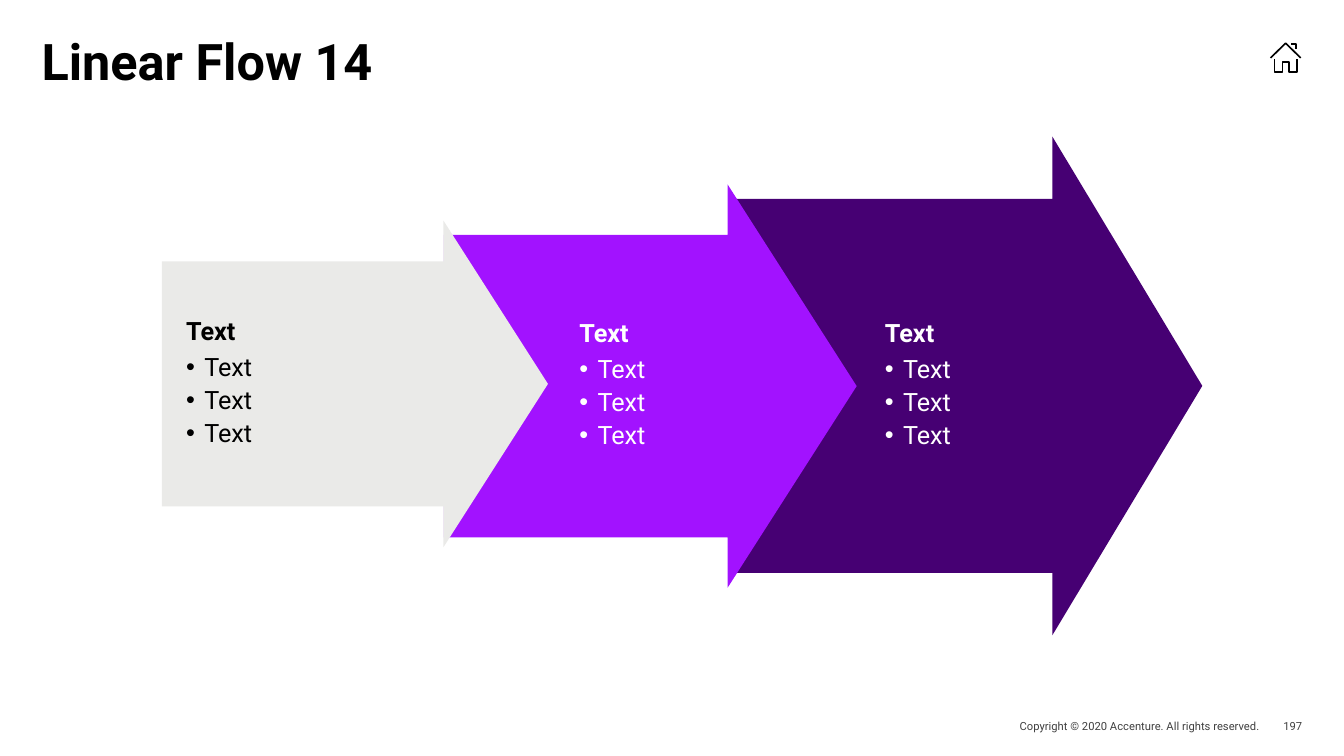
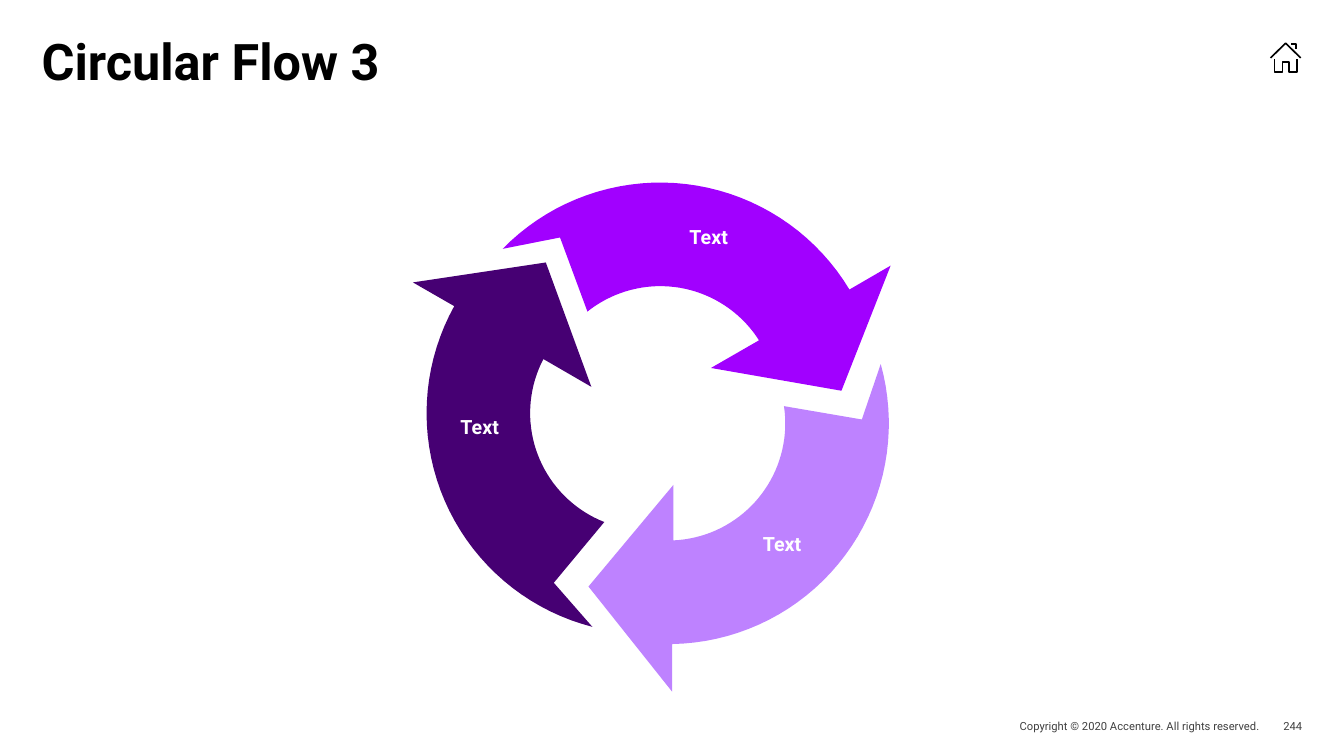
"""Build two flow diagrams: a row of growing arrows and a ring of three arrows."""
import math

import pptx
import pptx.dml.color
import pptx.enum.shapes
import pptx.enum.text
import pptx.oxml
import pptx.oxml.ns
import pptx.util

Cm = pptx.util.Cm
Pt = pptx.util.Pt
ALIGN = pptx.enum.text.PP_ALIGN
ANCHOR = pptx.enum.text.MSO_ANCHOR

THEME = {
    "font": "Roboto",
    "ink": "000000", "white": "FFFFFF", "muted": "404040",
    "grey": "EAEAE8", "bright": "A212FF", "vivid": "A100FF",
    "deep": "460073", "soft": "BE82FF",
    "title": 36, "body": 18, "label": 14, "foot": 8,
}
SIZE = (33.87, 19.05)
LEGAL = "Copyright © 2020 Accenture. All rights reserved."
HOME = [
    [(32.02, 1.46), (32.4, 1.09), (32.78, 1.46)],
    [(32.54, 1.11), (32.66, 1.11), (32.66, 1.23)],
    [(32.12, 1.49), (32.12, 1.82), (32.32, 1.82), (32.32, 1.57),
     (32.49, 1.57), (32.49, 1.82), (32.69, 1.82), (32.69, 1.49)],
]

LINEAR = {"title": "Linear Flow 14", "page": "197"}
HEAD = "Text"
ITEMS = ["Text", "Text", "Text"]
STEPS = [
    {"box": (18.49, 3.44, 11.81, 12.57), "fill": "deep", "ink": "white", "left": 3.81},
    {"box": (11.19, 4.65, 10.4, 10.16), "fill": "bright", "ink": "white", "left": 3.41},
    {"box": (4.08, 5.56, 9.73, 8.23), "fill": "grey", "ink": "ink", "left": 0.61},
]

CIRCLE = {"title": "Circular Flow 3", "page": "244"}
OUTER, INNER = 5.56, 2.95
NOTCH = (4.88, -0.1)
POINT = [(0.13, 1.55), (-2.01, 4.11), (0.1, 6.76)]
RING = [
    {"mid": (16.84, 10.67), "turn": 0, "fill": "soft", "text": "Text", "at": (18.82, 13.23)},
    {"mid": (16.31, 10.41), "turn": 120, "fill": "deep", "text": "Text", "at": (11.2, 10.29)},
    {"mid": (16.64, 10.16), "turn": 240, "fill": "vivid", "text": "Text", "at": (16.97, 5.5)},
]


def shade(name):
    return pptx.dml.color.RGBColor.from_string(THEME[name])


def apply(item, values):
    for key, value in values.items():
        setattr(item, key, value)


def write(para, text, size, ink, bold=False, **form):
    apply(para, form)
    run = para.add_run()
    run.text = text
    apply(run.font, {"name": THEME["font"], "size": Pt(THEME[size]), "bold": bold})
    run.font.color.rgb = shade(ink)


def setup(frame, left=0, pad=0, anchor=ANCHOR.MIDDLE):
    apply(frame, {
        "word_wrap": True, "vertical_anchor": anchor, "margin_left": Cm(left),
        "margin_top": Cm(pad), "margin_right": Cm(pad), "margin_bottom": Cm(pad),
    })


def label(shapes, box, text, size, ink, bold=False, pad=0, anchor=ANCHOR.MIDDLE, **form):
    frame = shapes.add_textbox(*map(Cm, box)).text_frame
    setup(frame, pad, pad, anchor)
    write(frame.paragraphs[0], text, size, ink, bold, **form)


def bullet(para):
    props = para._p.get_or_add_pPr()
    for key, value in {"marL": Cm(0.46), "indent": Cm(-0.46)}.items():
        props.set(key, str(value))
    for mark in ('buFont %s typeface="Arial"', 'buChar %s char="•"'):
        text = "<a:" + mark % pptx.oxml.ns.nsdecls("a") + "/>"
        props.append(pptx.oxml.parse_xml(text))


def paint(shape, fill):
    shape.shadow.inherit = False
    shape.fill.solid()
    shape.fill.fore_color.rgb = shade(fill)
    shape.line.fill.background()


def outline(shapes, paths, close):
    pen = None
    for path in paths:
        first, *rest = [(Cm(x), Cm(y)) for x, y in path]
        if pen is None:
            pen = shapes.build_freeform(*first)
        else:
            pen.move_to(*first)
        pen.add_line_segments(rest, close=close)
    return pen.convert_to_shape()


def start(deck, info):
    shapes = deck.slides.add_slide(deck.slide_layouts[6]).shapes
    label(shapes, (1.05, 1.05, 31.75, 2.74), info["title"], "title", "ink", True,
          anchor=ANCHOR.TOP, line_spacing=0.8)
    label(shapes, (23.11, 18.01, 8.64, 0.56), LEGAL, "foot", "muted", alignment=ALIGN.RIGHT)
    label(shapes, (31.75, 18.01, 1.07, 0.58), info["page"], "foot", "muted",
          alignment=ALIGN.RIGHT)
    home = outline(shapes, HOME, False)
    home.shadow.inherit = False
    home.fill.background()
    home.line.color.rgb = shade("ink")
    home.line.width = Pt(1.2)
    return shapes


def linear(deck):
    shapes = start(deck, LINEAR)
    kind = pptx.enum.shapes.MSO_SHAPE.RIGHT_ARROW
    for step in STEPS:
        arrow = shapes.add_shape(kind, *map(Cm, step["box"]))
        arrow.adjustments[0], arrow.adjustments[1] = 0.75, 0.32
        paint(arrow, step["fill"])
        frame = arrow.text_frame
        setup(frame, step["left"], 0.2)
        write(frame.paragraphs[0], HEAD, "body", step["ink"], True,
              alignment=ALIGN.LEFT, line_spacing=0.85, space_after=Pt(3))
        for item in ITEMS:
            para = frame.add_paragraph()
            bullet(para)
            write(para, item, "body", step["ink"], alignment=ALIGN.LEFT,
                  space_before=Pt(1), space_after=Pt(1))


def arc(radius, first, last, count=36):
    angles = [math.radians(first + (last - first) * i / count) for i in range(count + 1)]
    return [(radius * math.cos(a), radius * math.sin(a)) for a in angles]


def place(points, mid, turn):
    cos, sin = math.cos(math.radians(turn)), math.sin(math.radians(turn))
    return [(mid[0] + x * cos - y * sin, mid[1] + x * sin + y * cos) for x, y in points]


def circle(deck):
    group = start(deck, CIRCLE).add_group_shape().shapes
    edge = [NOTCH] + arc(INNER, -8.5, 87.5) + POINT + arc(OUTER, 89, -15.6)
    for part in RING:
        paint(outline(group, [place(edge, part["mid"], part["turn"])], True), part["fill"])
    for part in RING:
        label(group, (*part["at"], 1.78, 0.94), part["text"], "label", "white", True,
              pad=0.13, alignment=ALIGN.CENTER)


def main():
    deck = pptx.Presentation()
    deck.slide_width, deck.slide_height = map(Cm, SIZE)
    linear(deck)
    circle(deck)
    deck.save("out.pptx")


if __name__ == "__main__":
    main()
